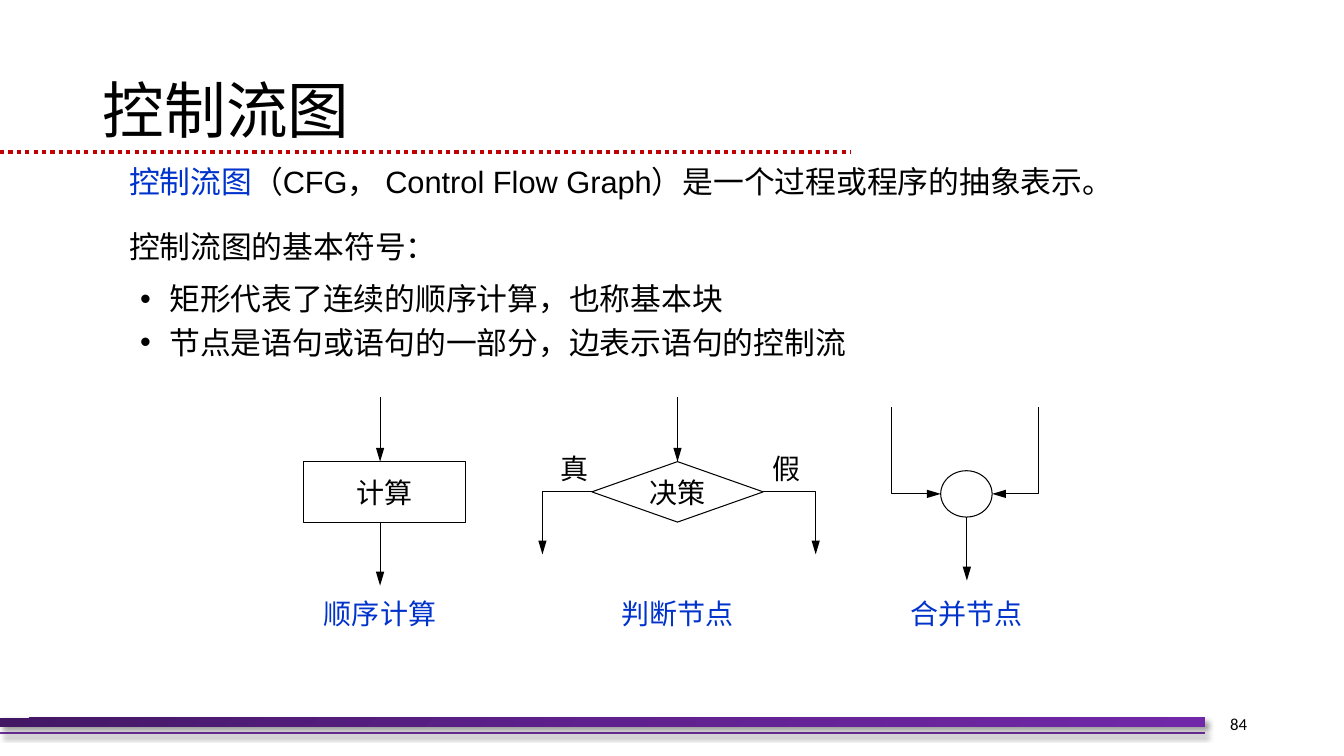
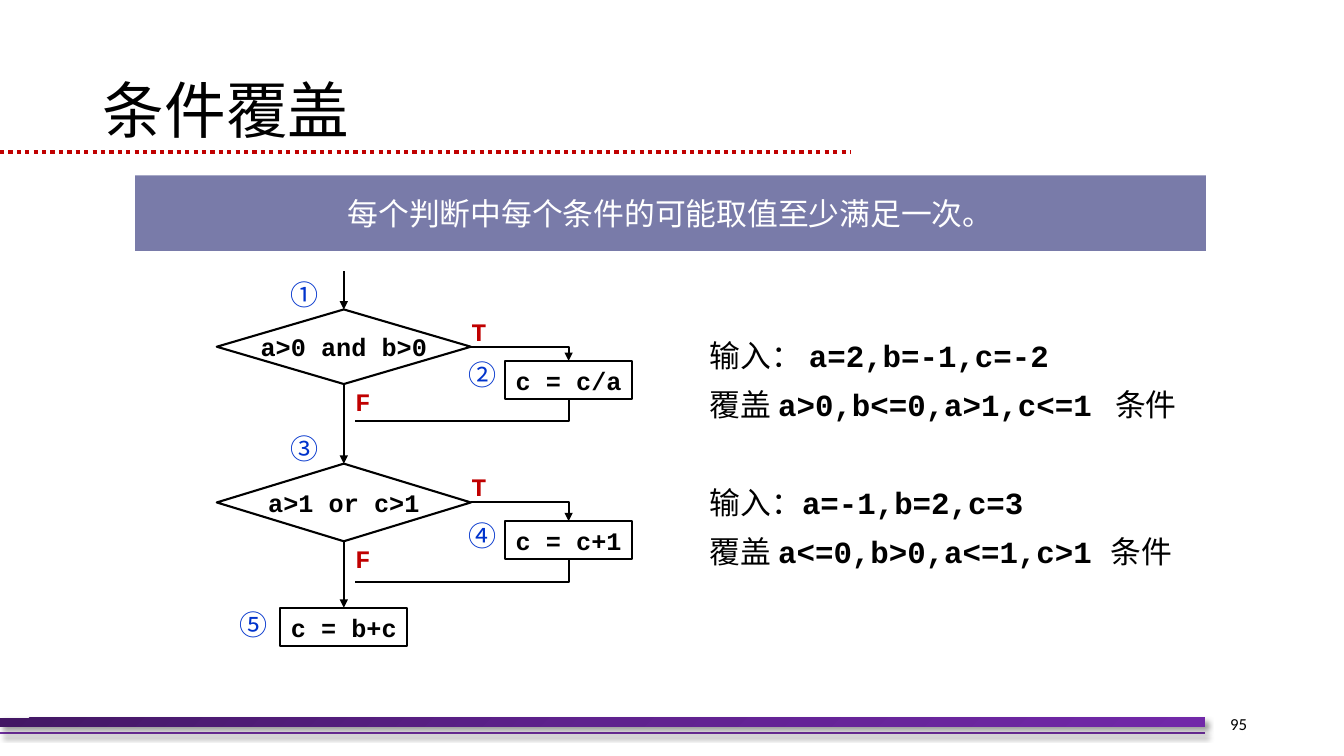
import copy

import lxml.etree
import pptx
import pptx.dml.color
import pptx.enum.dml
import pptx.enum.shapes
import pptx.enum.text
import pptx.oxml.ns
import pptx.util

PX = 9144
CHINESE = "Noto Sans CJK SC"
LATIN = "Arial"
CODE = "Courier New"
NUMBER = "Calibri"
BLACK, WHITE, BLUE, RED = "000000", "FFFFFF", "0033CC", "C00000"
PURPLE, BANNER = "7030A0", "797BA9"
BAND_STOPS = [(0, "431764"), (0.5, "5F218E"), (1, "7128A8")]
SHAPES = pptx.enum.shapes.MSO_SHAPE
ALIGN = pptx.enum.text.PP_ALIGN
ANCHOR = pptx.enum.text.MSO_ANCHOR


def px(*lengths):
    return [pptx.util.Emu(length * PX) for length in lengths]


def rgb(value):
    return pptx.dml.color.RGBColor.from_string(value)


def add_element(parent, tag, **attributes):
    element = lxml.etree.SubElement(parent, pptx.oxml.ns.qn(tag))
    for name, value in attributes.items():
        element.set(name, str(value))
    return element


def start_paragraph(frame, *, align=ALIGN.LEFT, before=0, bullet=False, tab=None):
    paragraph = frame.paragraphs[0]
    if paragraph.runs:
        paragraph = frame.add_paragraph()
    properties = paragraph._p.get_or_add_pPr()
    if bullet:
        properties.set("marL", str(40 * PX))
        properties.set("indent", str(-29 * PX))
        add_element(properties, "a:buFont", typeface=LATIN)
        add_element(properties, "a:buChar", char="•")
    if tab:
        tabs = add_element(properties, "a:tabLst")
        add_element(tabs, "a:tab", pos=tab * PX, algn="l")
    paragraph.alignment = align
    if before:
        paragraph.space_before = pptx.util.Pt(before)
    return paragraph


def write(paragraph, text, *, font=CHINESE, size=22, color=BLACK):
    run = paragraph.add_run()
    run.text = text
    run.font.size = pptx.util.Pt(size)
    run.font.bold = font == CODE
    run.font.color.rgb = rgb(color)
    run.font.name = font
    add_element(run._r.get_or_add_rPr(), "a:ea", typeface=font)


def clear_margins(frame):
    frame.margin_left = frame.margin_right = 0
    frame.margin_top = frame.margin_bottom = 0


def add_frame(slide, left, top, width, height):
    frame = slide.shapes.add_textbox(*px(left, top, width, height)).text_frame
    frame.word_wrap = True
    clear_margins(frame)
    return frame


def add_label(slide, text, center, top, *, width=40, **text_format):
    frame = add_frame(slide, center - width // 2, top + 1, width, 36)
    write(start_paragraph(frame, align=ALIGN.CENTER), text, **text_format)


def add_node(slide, kind, left, top, width, height, text="", *, fill=None,
             line=BLACK, weight=0.75, **text_format):
    shape = slide.shapes.add_shape(kind, *px(left, top, width, height))
    shape.shadow.inherit = False
    if fill:
        shape.fill.solid()
        shape.fill.fore_color.rgb = rgb(fill)
    else:
        shape.fill.background()
    if line:
        shape.line.color.rgb = rgb(line)
        shape.line.width = pptx.util.Pt(weight)
    else:
        shape.line.fill.background()
    if text:
        frame = shape.text_frame
        frame.word_wrap = False
        frame.vertical_anchor = ANCHOR.MIDDLE
        clear_margins(frame)
        write(start_paragraph(frame, align=ALIGN.CENTER), text, **text_format)
    return shape


def add_line(slide, start, end, *, color=BLACK, weight=0.75):
    connector = slide.shapes.add_connector(
        pptx.enum.shapes.MSO_CONNECTOR.STRAIGHT, *px(*start, *end))
    connector.line.color.rgb = rgb(color)
    connector.line.width = pptx.util.Pt(weight)
    add_element(connector.element.spPr, "a:effectLst")
    return connector


def add_bend(slide, points, *, weight=0.75):
    start, *others = [px(*point) for point in points]
    builder = slide.shapes.build_freeform(*start)
    builder.add_line_segments(others, close=False)
    shape = builder.convert_to_shape()
    shape.shadow.inherit = False
    shape.fill.background()
    shape.line.color.rgb = rgb(BLACK)
    shape.line.width = pptx.util.Pt(weight)
    return shape


def add_arrow(slide, *points, weight=0.75):
    if len(points) == 2:
        shape = add_line(slide, *points, weight=weight)
    else:
        shape = add_bend(slide, points, weight=weight)
    length = "lg" if weight < 1 else "med"
    add_element(shape.line._get_or_add_ln(), "a:tailEnd", type="triangle", w="med", len=length)


def add_shadow(shape):
    properties = shape.element.spPr
    effects = properties.find(pptx.oxml.ns.qn("a:effectLst"))
    shadow = add_element(effects, "a:outerShdw", blurRad=50800, dist=38100,
                         dir=2700000, algn="tl", rotWithShape=0)
    color = add_element(shadow, "a:srgbClr", val=BLACK)
    add_element(color, "a:alpha", val=40000)


def add_band(slide):
    band = add_node(slide, SHAPES.RECTANGLE, 0, 712, 1195, 9, line=None)
    band.fill.gradient()
    band.fill.gradient_angle = 315
    last = list(band.element.iter(pptx.oxml.ns.qn("a:gs")))[-1]
    last.addprevious(copy.deepcopy(last))
    for stop, (position, color) in zip(band.fill.gradient_stops, BAND_STOPS):
        stop.position = position
        stop.color.rgb = rgb(color)
    return band


def decorate_layout(slide):
    footer_line = add_line(slide, (0, 727), (1195, 727), color=PURPLE, weight=1.5)
    band = add_band(slide)
    for shape in (footer_line, band):
        add_shadow(shape)
    title_line = add_line(slide, (0, 151), (844, 151), color=RED, weight=3)
    title_line.line.dash_style = pptx.enum.dml.MSO_LINE.ROUND_DOT
    tree = slide.slide_layout.shapes.element
    for shape in (footer_line, band, title_line):
        tree.append(shape.element)


def add_slide(presentation, title, number):
    slide = presentation.slides.add_slide(presentation.slide_layouts[5])
    placeholder = slide.shapes.title
    placeholder.left, placeholder.top, placeholder.width, placeholder.height = px(92, 40, 1150, 145)
    frame = placeholder.text_frame
    frame.auto_size = pptx.enum.text.MSO_AUTO_SIZE.NONE
    frame.vertical_anchor = ANCHOR.MIDDLE
    paragraph = start_paragraph(frame)
    paragraph.line_spacing = 0.9
    write(paragraph, title, size=44)
    frame = add_frame(slide, 1138, 698, 99, 40)
    frame.vertical_anchor = ANCHOR.MIDDLE
    write(start_paragraph(frame, align=ALIGN.RIGHT), number, font=NUMBER, size=12)
    return slide


def add_definition(slide):
    frame = add_frame(slide, 128, 161, 1020, 199)
    paragraph = start_paragraph(frame)
    write(paragraph, "控制流图", color=BLUE)
    for text, font in [("（", CHINESE), ("CFG", LATIN), ("， ", CHINESE),
                       ("Control Flow Graph", LATIN),
                       ("）是一个过程或程序的抽象表示。", CHINESE)]:
        write(paragraph, text, font=font)
    for text, before, bullet in [("控制流图的基本符号：", 20.6, False),
                                 ("矩形代表了连续的顺序计算，也称基本块", 10.8, True),
                                 ("节点是语句或语句的一部分，边表示语句的控制流", 4.6, True)]:
        write(start_paragraph(frame, before=before, bullet=bullet), text)


def add_symbols(slide):
    sequence, decision, merge = 377, 672, 959
    add_node(slide, SHAPES.RECTANGLE, 301, 458, 161, 60, "计算", size=20)
    add_node(slide, SHAPES.DIAMOND, 587, 458, 170, 60, "决策", size=20)
    add_node(slide, SHAPES.OVAL, 933, 467, 51, 46)
    for center in (sequence, decision):
        add_arrow(slide, (center, 394), (center, 458))
    add_arrow(slide, (sequence, 518), (sequence, 581))
    add_arrow(slide, (merge, 513), (merge, 576))
    for side, end, text, center in [(587, 538, "真", 570), (757, 809, "假", 780)]:
        add_arrow(slide, (side, 488), (end, 488), (end, 550))
        add_label(slide, text, center, 447, size=20)
    for start, side in [(884, 933), (1030, 984)]:
        add_arrow(slide, (start, 404), (start, 490), (side, 490))
    for center, text in [(sequence, "顺序计算"), (decision, "判断节点"), (merge, "合并节点")]:
        add_label(slide, text, center, 591, width=140, size=20, color=BLUE)


def add_code_box(slide, center, top, text):
    add_node(slide, SHAPES.RECTANGLE, center - 63, top, 126, 38, text,
             weight=1.5, font=CODE, size=18)


def add_decision(slide, top, height, condition, box_top, computation, next_top, numbers):
    trunk, branch = 341, 564
    middle, bottom = top + height // 2, top + height
    right, join = trunk + 126, box_top + 60
    add_node(slide, SHAPES.DIAMOND, trunk - 126, top, 252, height, condition,
             weight=1.5, font=CODE, size=18)
    add_code_box(slide, branch, box_top, computation)
    add_arrow(slide, (right, middle), (branch, middle), (branch, box_top), weight=1.5)
    add_arrow(slide, (trunk, bottom), (trunk, next_top), weight=1.5)
    add_bend(slide, [(branch, box_top + 38), (branch, join), (352, join)], weight=1.5)
    add_label(slide, "T", right + 8, middle - 31, font=CODE, size=18, color=RED)
    add_label(slide, "F", trunk + 19, bottom + 1, font=CODE, size=18, color=RED)
    add_label(slide, numbers[0], 302, top - 33, size=20, color=BLUE)
    add_label(slide, numbers[1], 479, box_top - 4, size=20, color=BLUE)


def add_flow_graph(slide):
    add_arrow(slide, (341, 269), (341, 307), weight=1.5)
    add_decision(slide, 307, 74, "a>0 and b>0", 358, "c = c/a", 460, "①②")
    add_decision(slide, 460, 77, "a>1 or c>1", 517, "c = c+1", 603, "③④")
    add_code_box(slide, 341, 603, "c = b+c")
    add_label(slide, "⑤", 251, 602, size=20, color=BLUE)


def add_cases(slide):
    cases = [("输入： ", "a=2,b=-1,c=-2", "a>0,b<=0,a>1,c<=1\t", 402),
             ("输入：", "a=-1,b=2,c=3", "a<=0,b>0,a<=1,c>1 ", None)]
    for index, (heading, values, conditions, tab) in enumerate(cases):
        frame = add_frame(slide, 704, 334 + 146 * index, 463, 87)
        paragraph = start_paragraph(frame)
        write(paragraph, heading)
        write(paragraph, values, font=CODE)
        paragraph = start_paragraph(frame, before=8.6, tab=tab)
        write(paragraph, "覆盖 ")
        write(paragraph, conditions, font=CODE)
        write(paragraph, "条件")


def main():
    presentation = pptx.Presentation()
    presentation.slide_width, presentation.slide_height = px(1333, 750)

    slide = add_slide(presentation, "控制流图", "84")
    decorate_layout(slide)
    add_definition(slide)
    add_symbols(slide)

    slide = add_slide(presentation, "条件覆盖", "95")
    add_node(slide, SHAPES.RECTANGLE, 134, 174, 1062, 75,
             "每个判断中每个条件的可能取值至少满足一次。", fill=BANNER, line=None, color=WHITE)
    add_flow_graph(slide)
    add_cases(slide)

    presentation.save("out.pptx")


if __name__ == "__main__":
    main()
